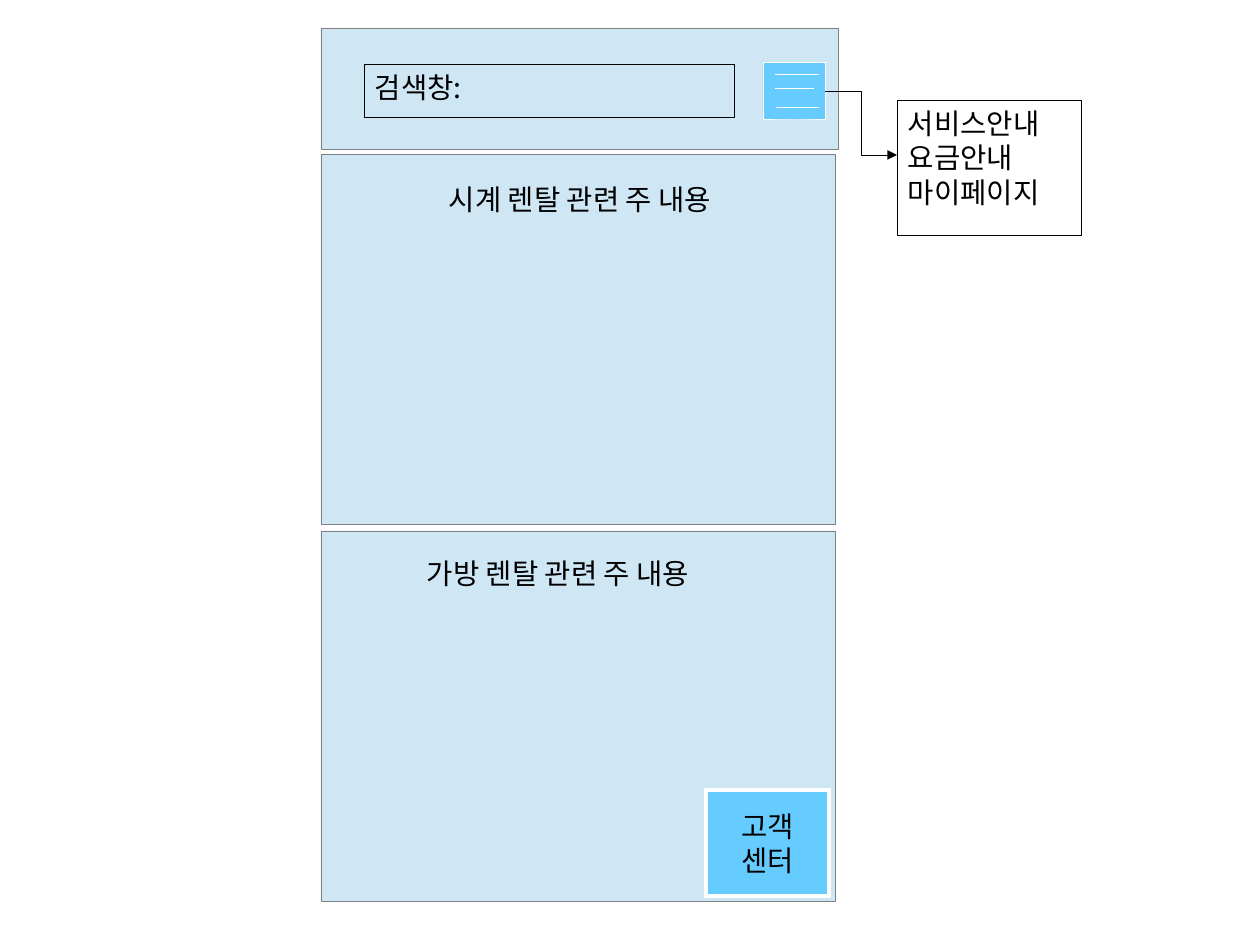
from lxml import etree
from pptx import Presentation, util as u
from pptx.dml.color import RGBColor
from pptx.enum import shapes, text
from pptx.oxml.ns import qn

PX = 8000
SIZE = (1260, 945)
FONT = "Noto Sans CJK KR"
PALE, SKY, WHITE, GRAY, BLACK = "CFE7F5", "66CCFF", "FFFFFF", "808080", "000000"
HAIRLINE = 0.03

PANELS = [(321, 28, 517, 121), (321, 154, 514, 370), (321, 531, 514, 370)]
HEADINGS = [
    ((438, 176, 318, 53), "시계 렌탈 관련 주 내용"),
    ((416, 550, 329, 61), "가방 렌탈 관련 주 내용"),
]
OUTLINED_BOXES = [
    ((897, 100, 184, 135), ["서비스안내", "요금안내", "마이페이지"]),
    ((364, 64, 370, 53), ["검색창:"]),
]
MENU_BUTTON = (763, 62, 62, 57)
MENU_BARS = [(775, 74, 819, 74), (775, 88, 814, 88), (776, 107, 819, 107)]
MENU_ARROW = (825, 91, 897, 155)
SUPPORT_BUTTON = (706, 790, 123, 106)
SUPPORT_LINES = ["고객", "센터"]


def px(values):
    return [u.Emu(value * PX) for value in values]


def rgb(color):
    return RGBColor.from_string(color)


def add_box(slide, bounds, fill=None, line=GRAY, width=HAIRLINE):
    shape = slide.shapes.add_shape(shapes.MSO_SHAPE.RECTANGLE, *px(bounds))
    shape.shadow.inherit = False
    if fill:
        shape.fill.solid()
        shape.fill.fore_color.rgb = rgb(fill)
    else:
        shape.fill.background()
    shape.line.color.rgb = rgb(line)
    shape.line.width = u.Pt(width)
    return shape


def write(shape, lines, align=text.PP_ALIGN.LEFT, anchor=text.MSO_ANCHOR.TOP,
          inset=(11, 6), size=18, color=BLACK):
    frame = shape.text_frame
    frame.word_wrap = True
    frame.vertical_anchor = anchor
    frame.margin_left, frame.margin_top = px(inset)
    frame.margin_right, frame.margin_bottom = px(inset)
    for index, line in enumerate(lines):
        paragraph = frame.add_paragraph() if index else frame.paragraphs[0]
        paragraph.alignment = align
        run = paragraph.add_run()
        run.text = line
        run.font.size = u.Pt(size)
        run.font.color.rgb = rgb(color)
        run.font.name = FONT
        east_asian = etree.SubElement(run.font._element, qn("a:ea"))
        east_asian.set("typeface", FONT)


def add_line(slide, ends, color, kind=shapes.MSO_CONNECTOR.STRAIGHT, arrow=False):
    connector = slide.shapes.add_connector(kind, *px(ends))
    connector.line.color.rgb = rgb(color)
    connector.line.width = u.Pt(HAIRLINE)
    if arrow:
        tail = etree.SubElement(connector.line._get_or_add_ln(), qn("a:tailEnd"))
        tail.set("type", "triangle")
    etree.SubElement(connector._element.spPr, qn("a:effectLst"))


def main():
    presentation = Presentation()
    presentation.slide_width, presentation.slide_height = px(SIZE)
    slide = presentation.slides.add_slide(presentation.slide_layouts[6])

    for bounds in PANELS:
        add_box(slide, bounds, PALE)
    for bounds, lines in OUTLINED_BOXES:
        write(add_box(slide, bounds, line=BLACK), lines)
    for bounds, heading in HEADINGS:
        write(slide.shapes.add_textbox(*px(bounds)), [heading])

    add_box(slide, MENU_BUTTON, SKY, WHITE)
    for ends in MENU_BARS:
        add_line(slide, ends, WHITE)
    add_line(slide, MENU_ARROW, BLACK, shapes.MSO_CONNECTOR.ELBOW, arrow=True)

    support = add_box(slide, SUPPORT_BUTTON, SKY, WHITE, width=2.83)
    write(support, SUPPORT_LINES, text.PP_ALIGN.CENTER, text.MSO_ANCHOR.MIDDLE, (14, 8))

    presentation.save("out.pptx")


if __name__ == "__main__":
    main()
